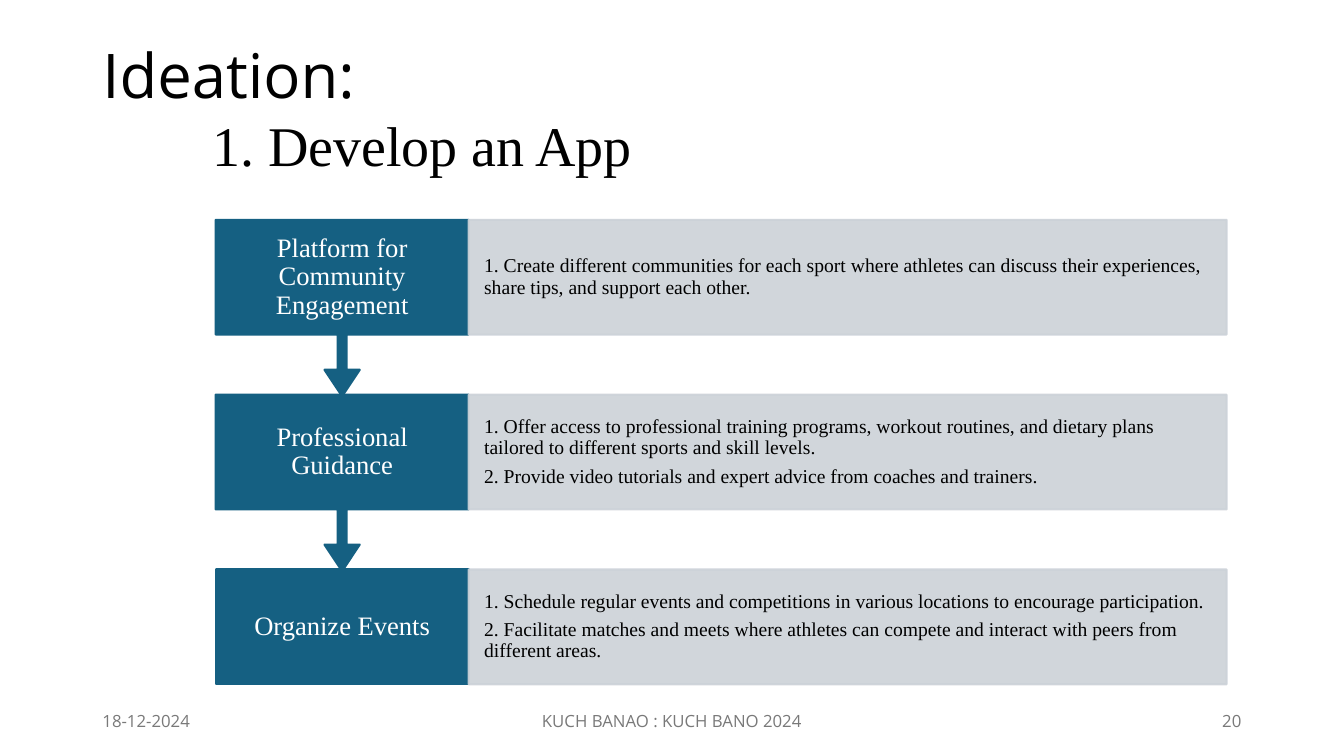
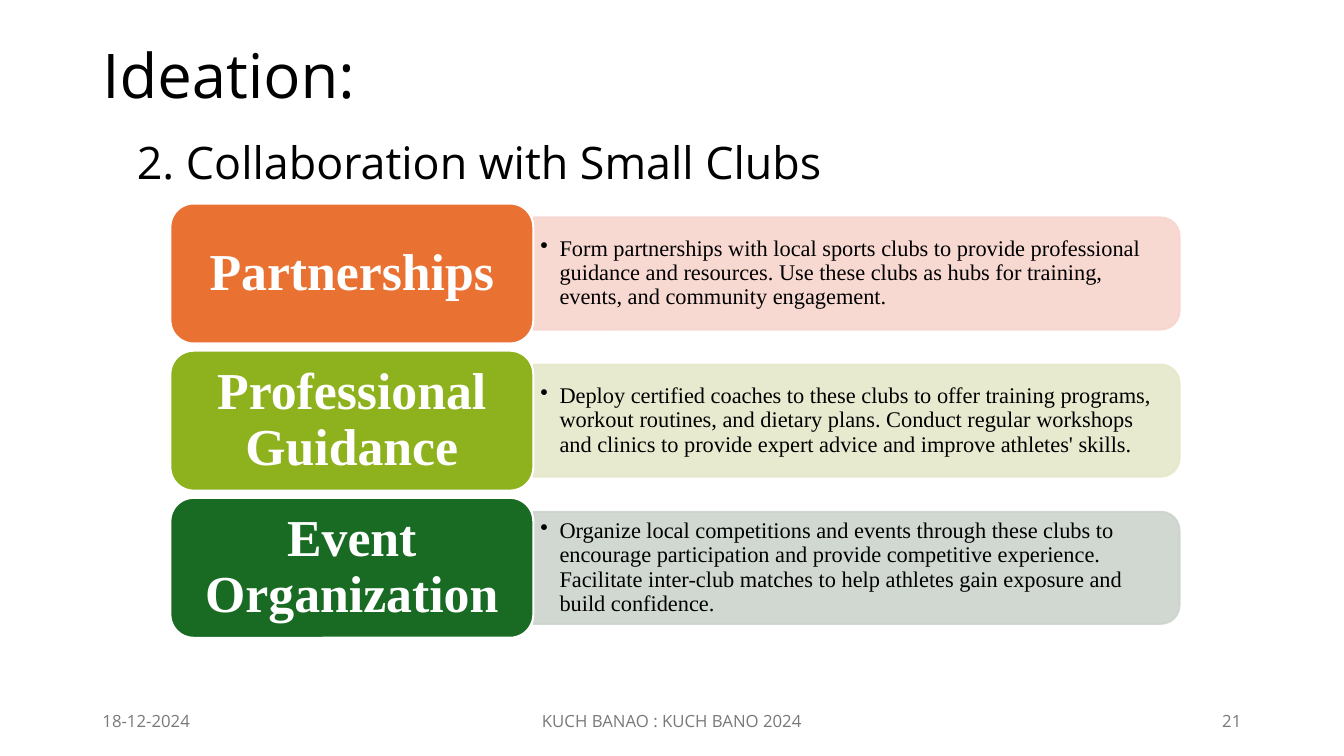
from copy import deepcopy

from lxml import etree
from pptx import Presentation
from pptx.dml.color import RGBColor
from pptx.enum.shapes import MSO_SHAPE
from pptx.enum.text import MSO_ANCHOR, MSO_AUTO_SIZE, PP_ALIGN
from pptx.oxml.ns import qn
from pptx.util import Pt

LEFT, CENTER, RIGHT = PP_ALIGN.LEFT, PP_ALIGN.CENTER, PP_ALIGN.RIGHT
TOP, MIDDLE = MSO_ANCHOR.TOP, MSO_ANCHOR.MIDDLE
RECTANGLE = MSO_SHAPE.RECTANGLE
CALLOUT = MSO_SHAPE.DOWN_ARROW_CALLOUT
ROUNDED = MSO_SHAPE.ROUNDED_RECTANGLE
ROUNDED_END = MSO_SHAPE.ROUND_2_SAME_RECTANGLE
NO_AUTOFIT = MSO_AUTO_SIZE.NONE

SANS, SERIF = "Open Sans", "Times New Roman"
THEME = {
    "colors": {
        "black": "000000", "white": "FFFFFF", "footer": "797979",
        "blue": "156082", "blue tint": "CCD2D8",
        "orange": "E97132", "orange tint": "F7D5CE",
        "lime": "8EB21E", "lime tint": "E5E8CA",
        "green": "196B24", "green tint": "CCD4CD",
    },
    "styles": {
        "title": {"font": SANS, "size": 44, "spacing": 0.9},
        "footer": {"font": SANS, "size": 12, "color": "footer", "anchor": MIDDLE},
        "app subtitle": {"font": SERIF, "size": 40, "spacing": 0.9},
        "club subtitle": {"font": SANS, "size": 32},
        "step": {"font": SERIF, "size": 19, "color": "white", "align": CENTER,
                 "anchor": MIDDLE, "spacing": 0.9, "insets": (13, 11)},
        "step detail": {"font": SERIF, "size": 14, "anchor": MIDDLE,
                        "spacing": 0.9, "after": 5, "insets": (11, 13.5)},
        "club": {"font": SERIF, "size": 37, "color": "white", "bold": True,
                 "align": CENTER, "anchor": MIDDLE, "spacing": 0.9, "insets": (11, 6)},
        "club detail": {"font": SERIF, "size": 16, "anchor": MIDDLE,
                        "spacing": 0.9, "insets": (5, 2), "bullet": 13.7},
    },
}


def write_text(shape, lines, style_name, align=None):
    style = THEME["styles"][style_name]
    frame = shape.text_frame
    horizontal, vertical = style.get("insets", (7.2, 3.6))
    frame_format = {
        "text": "\n".join(lines),
        "word_wrap": True,
        "auto_size": NO_AUTOFIT,
        "vertical_anchor": style.get("anchor", TOP),
        "margin_left": Pt(horizontal),
        "margin_right": Pt(horizontal),
        "margin_top": Pt(vertical),
        "margin_bottom": Pt(vertical),
    }
    for name, value in frame_format.items():
        setattr(frame, name, value)
    paragraph_format = {
        "alignment": align or style.get("align", LEFT),
        "line_spacing": style.get("spacing", 1.0),
        "space_before": Pt(0),
        "space_after": Pt(style.get("after", 0)),
    }
    font_format = {
        "name": style["font"],
        "size": Pt(style["size"]),
        "bold": style.get("bold", False),
    }
    color = RGBColor.from_string(THEME["colors"][style.get("color", "black")])
    for paragraph in frame.paragraphs:
        for name, value in paragraph_format.items():
            setattr(paragraph, name, value)
        for run in paragraph.runs:
            for name, value in font_format.items():
                setattr(run.font, name, value)
            run.font.color.rgb = color
        if "bullet" in style:
            properties = paragraph._p.get_or_add_pPr()
            indent = Pt(style["bullet"])
            properties.set("marL", str(indent))
            properties.set("indent", str(-indent))
            etree.SubElement(properties, qn("a:buChar"), char="•")


def add_panel(slide, kind, box, fill, line, opacity=100):
    shape = slide.shapes.add_shape(kind, *map(Pt, box))
    shape.shadow.inherit = False
    shape.fill.solid()
    shape.fill.fore_color.rgb = RGBColor.from_string(THEME["colors"][fill])
    shape.line.color.rgb = RGBColor.from_string(THEME["colors"][line])
    shape.line.width = Pt(1.5)
    if opacity < 100:
        for color in shape.element.spPr.iter(qn("a:srgbClr")):
            etree.SubElement(color, qn("a:alpha"), val=str(opacity * 1000))
    return shape


presentation = Presentation()
presentation.slide_width, presentation.slide_height = Pt(960), Pt(540)
layout = presentation.slide_layouts[5]

subtitles = [
    ("1. Develop an App", "app subtitle", (144.7, 80.6, 459.4, 90.7)),
    ("2. Collaboration with Small Clubs", "club subtitle", (90.7, 92.9, 833, 85)),
]
slides = []
for number, (subtitle, subtitle_style, subtitle_box) in enumerate(subtitles, 20):
    slide = presentation.slides.add_slide(layout)
    slides.append(slide)
    placed_texts = [(slide.shapes.title, "Ideation:", "title", LEFT, (66, 28.8, 828, 104.4))]
    footers = {
        10: ("18-12-2024", LEFT, 66, 216),
        11: ("KUCH BANAO : KUCH BANO 2024", CENTER, 318, 324),
        12: (str(number), RIGHT, 678, 216),
    }
    for source in layout.placeholders:
        index = source.placeholder_format.idx
        if index in footers:
            slide.shapes.element.append(deepcopy(source.element))
            text, align, left, width = footers[index]
            placed_texts.append((slide.placeholders[index], text, "footer", align,
                                 (left, 500.5, width, 28.8)))
    for shape, text, style_name, align, box in placed_texts:
        for name, value in zip(("left", "top", "width", "height"), box):
            setattr(shape, name, Pt(value))
        write_text(shape, [text], style_name, align)
    subtitle_shape = slide.shapes.add_textbox(*map(Pt, subtitle_box))
    write_text(subtitle_shape, [subtitle], subtitle_style)

app_slide, club_slide = slides

steps = [
    ("Platform for Community Engagement", [
        "1. Create different communities for each sport where athletes can discuss their "
        "experiences, share tips, and support each other.",
    ]),
    ("Professional Guidance", [
        "1. Offer access to professional training programs, workout routines, and dietary "
        "plans tailored to different sports and skill levels.",
        "2. Provide video tutorials and expert advice from coaches and trainers.",
    ]),
    ("Organize Events", [
        "1. Schedule regular events and competitions in various locations to encourage "
        "participation.",
        "2. Facilitate matches and meets where athletes can compete and interact with peers "
        "from different areas.",
    ]),
]
step_left, step_width, step_height, callout_height = 154, 180.8, 82, 126
for row, (heading, details) in enumerate(steps):
    top = 157 + row * 124.9
    is_last = row == len(steps) - 1
    kind = RECTANGLE if is_last else CALLOUT
    height = step_height if is_last else callout_height
    step = add_panel(app_slide, kind, (step_left, top, step_width, height), "blue", "blue")
    if not is_last:
        for position, value in enumerate((0.05, 0.1, 0.15, 0.65)):
            step.adjustments[position] = value
    write_text(step, [heading], "step")
    detail_box = (step_left + step_width, top, 541.4, step_height)
    detail = add_panel(app_slide, RECTANGLE, detail_box, "blue tint", "blue tint", 90)
    write_text(detail, details, "step detail")

clubs = [
    ("Partnerships", "orange",
     "Form partnerships with local sports clubs to provide professional guidance and "
     "resources. Use these clubs as hubs for training, events, and community engagement."),
    ("Professional Guidance", "lime",
     "Deploy certified coaches to these clubs to offer training programs, workout routines, "
     "and dietary plans. Conduct regular workshops and clinics to provide expert advice and "
     "improve athletes' skills."),
    ("Event Organization", "green",
     "Organize local competitions and events through these clubs to encourage participation "
     "and provide competitive experience. Facilitate inter-club matches to help athletes "
     "gain exposure and build confidence."),
]
club_left, club_width, club_height = 121.7, 259.3, 100
bar_left, bar_length, bar_height = club_left + club_width, 461.5, 80
detail_width, detail_height = 457, 72
for row, (heading, color, detail_text) in enumerate(clubs):
    top = 145.4 + row * 105.1
    middle = top + club_height / 2
    bar_box = (bar_left + (bar_length - bar_height) / 2, middle - bar_length / 2,
               bar_height, bar_length)
    tint = f"{color} tint"
    bar = add_panel(club_slide, ROUNDED_END, bar_box, tint, tint, 90)
    bar.rotation = 90
    detail_box = (bar_left, middle - detail_height / 2, detail_width, detail_height)
    detail = club_slide.shapes.add_textbox(*map(Pt, detail_box))
    write_text(detail, [detail_text], "club detail")
    club_box = (club_left, top, club_width, club_height)
    club = add_panel(club_slide, ROUNDED, club_box, color, "white")
    write_text(club, [heading], "club")

presentation.save("out.pptx")
